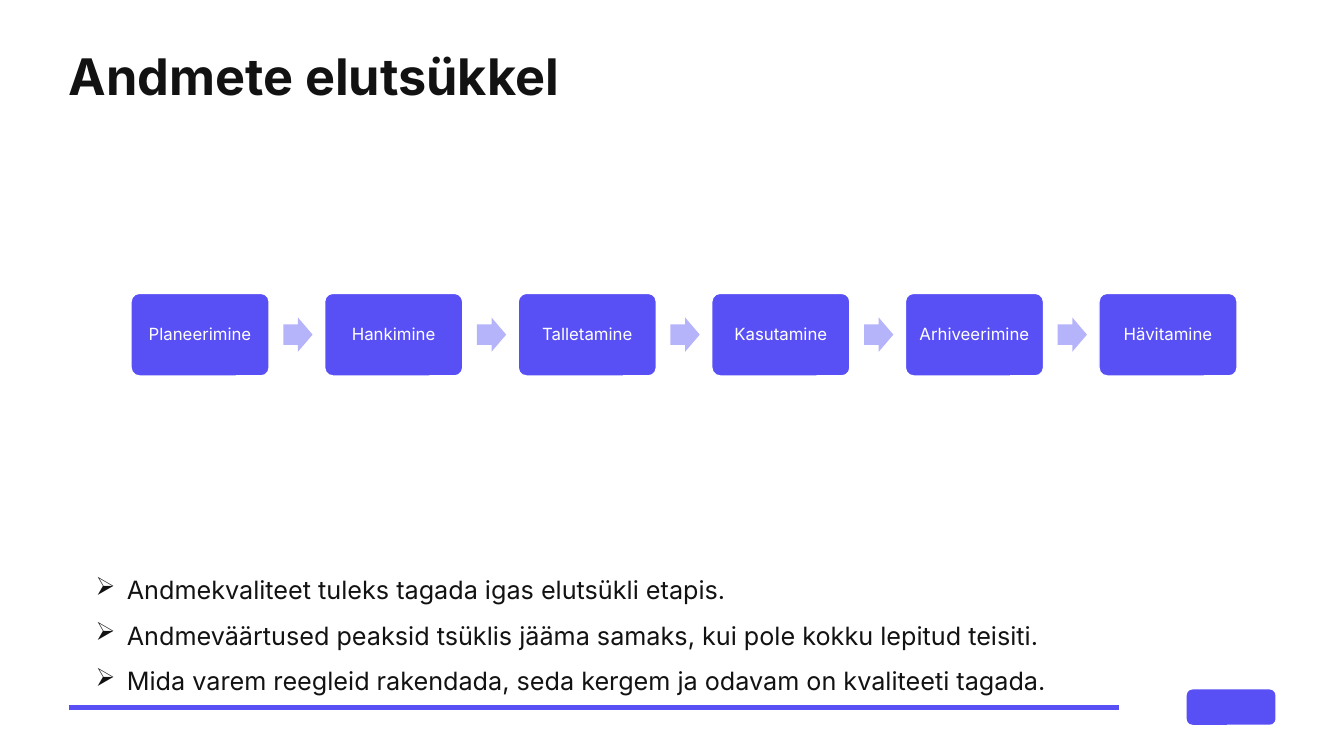
from lxml import etree
from pptx import Presentation
from pptx.dml.color import RGBColor
from pptx.enum.shapes import MSO_CONNECTOR, MSO_SHAPE as SHAPE
from pptx.enum.text import MSO_ANCHOR as ANCHOR, MSO_AUTO_SIZE as AUTO_SIZE, PP_ALIGN as ALIGN
from pptx.oxml.ns import qn
from pptx.util import Inches, Pt

FONT = "Inter"
INK = "121212"
VIOLET = "584FF5"
LILAC = "B5B3F9"
WHITE = "FFFFFF"

STAGES = ["Planeerimine", "Hankimine", "Talletamine", "Kasutamine", "Arhiveerimine", "Hävitamine"]
STAGE_LEFT, STAGE_TOP, STAGE_PITCH = 1.3, 2.91, 1.92
STAGE_WIDTH, STAGE_HEIGHT = 1.37, 0.82
ARROW_OFFSET, ARROW_WIDTH, ARROW_HEIGHT = 1.51, 0.29, 0.34

PRINCIPLES = [
    "Andmekvaliteet tuleks tagada igas elutsükli etapis.",
    "Andmeväärtused peaksid tsüklis jääma samaks, kui pole kokku lepitud teisiti.",
    "Mida varem reegleid rakendada, seda kergem ja odavam on kvaliteeti tagada.",
]


def rgb(hex_color):
    return RGBColor.from_string(hex_color)


def box(left, top, width, height):
    return [Inches(value) for value in (left, top, width, height)]


def set_margins(frame, inches):
    frame.margin_left = frame.margin_right = Inches(inches)
    frame.margin_top = frame.margin_bottom = Inches(inches)


def format_paragraph(paragraph, size, color, spacing, align=ALIGN.LEFT, bold=False):
    paragraph.alignment = align
    paragraph.line_spacing = spacing
    for run in paragraph.runs:
        run.font.name = FONT
        run.font.size = Pt(size)
        run.font.bold = bold
        run.font.color.rgb = rgb(color)


def add_filled_shape(slide, kind, position, fill, outline=None):
    shape = slide.shapes.add_shape(kind, *box(*position))
    shape.shadow.inherit = False
    shape.fill.solid()
    shape.fill.fore_color.rgb = rgb(fill)
    if outline:
        shape.line.color.rgb = rgb(outline)
        shape.line.width = Pt(1)
    else:
        shape.line.fill.background()
    return shape


def add_footer_rule(slide):
    rule = slide.shapes.add_connector(
        MSO_CONNECTOR.STRAIGHT, Inches(0.68), Inches(7.02), Inches(11.1), Inches(7.02))
    rule.line.color.rgb = rgb(VIOLET)
    rule.line.width = Pt(3)
    etree.SubElement(rule._element.spPr, qn("a:effectLst"))


def set_title(slide, text):
    title = slide.shapes.title
    title.left, title.top, title.width, title.height = box(0.68, 0.52, 10.98, 0.39)
    frame = title.text_frame
    frame.text = text
    frame.auto_size = AUTO_SIZE.NONE
    frame.vertical_anchor = ANCHOR.TOP
    set_margins(frame, 0)
    format_paragraph(frame.paragraphs[0], 36, INK, 0.9, bold=True)


def add_stage(slide, label, left):
    stage = add_filled_shape(
        slide, SHAPE.ROUNDED_RECTANGLE, (left, STAGE_TOP, STAGE_WIDTH, STAGE_HEIGHT), VIOLET, WHITE)
    stage.adjustments[0] = 0.1
    frame = stage.text_frame
    frame.text = label
    frame.word_wrap = True
    frame.vertical_anchor = ANCHOR.MIDDLE
    set_margins(frame, 0.05)
    format_paragraph(frame.paragraphs[0], 12, WHITE, 0.9, ALIGN.CENTER)


def add_stage_arrow(slide, left):
    top = STAGE_TOP + (STAGE_HEIGHT - ARROW_HEIGHT) / 2
    arrow = add_filled_shape(
        slide, SHAPE.RIGHT_ARROW, (left, top, ARROW_WIDTH, ARROW_HEIGHT), LILAC)
    arrow.adjustments[0] = 0.6
    arrow.adjustments[1] = 0.5


def add_life_cycle(slide):
    for index, label in enumerate(STAGES):
        left = STAGE_LEFT + index * STAGE_PITCH
        add_stage(slide, label, left)
        if index < len(STAGES) - 1:
            add_stage_arrow(slide, left + ARROW_OFFSET)


def add_bullet(paragraph, char):
    properties = paragraph._p.get_or_add_pPr()
    properties.set("marL", str(Inches(0.31)))
    properties.set("indent", str(-Inches(0.31)))
    etree.SubElement(properties, qn("a:buChar")).set("char", char)


def add_principles(slide):
    frame = slide.shapes.add_textbox(*box(0.85, 5.5, 12.12, 1.77)).text_frame
    frame.word_wrap = True
    frame.text = "\n".join(PRINCIPLES)
    for paragraph in frame.paragraphs:
        format_paragraph(paragraph, 18, INK, 1.5)
        add_bullet(paragraph, "➢")


def main():
    deck = Presentation()
    deck.slide_width, deck.slide_height = Inches(13.33), Inches(7.5)
    slide = deck.slides.add_slide(deck.slide_layouts.get_by_name("Title Only"))
    add_footer_rule(slide)
    add_filled_shape(slide, SHAPE.ROUNDED_RECTANGLE, (11.77, 6.84, 0.88, 0.35), VIOLET)
    set_title(slide, "Andmete elutsükkel")
    add_life_cycle(slide)
    add_principles(slide)
    deck.save("out.pptx")


if __name__ == "__main__":
    main()
